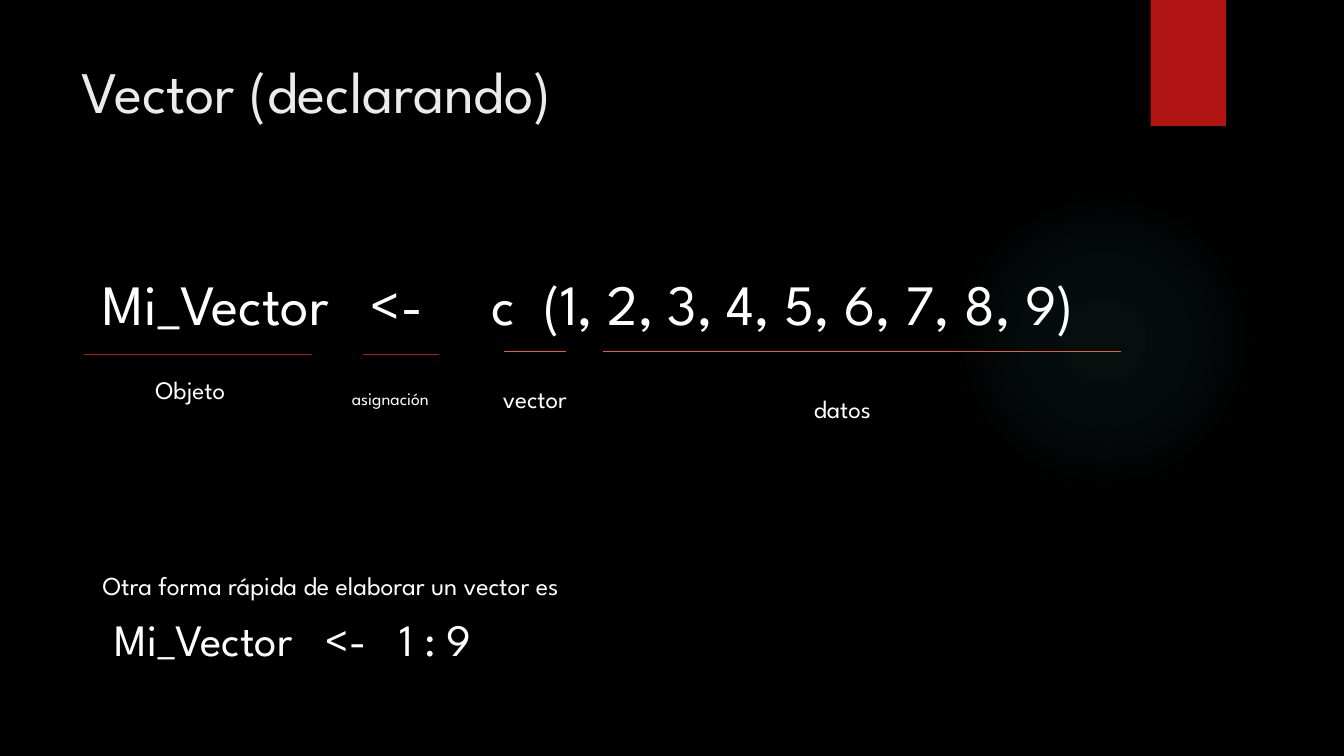
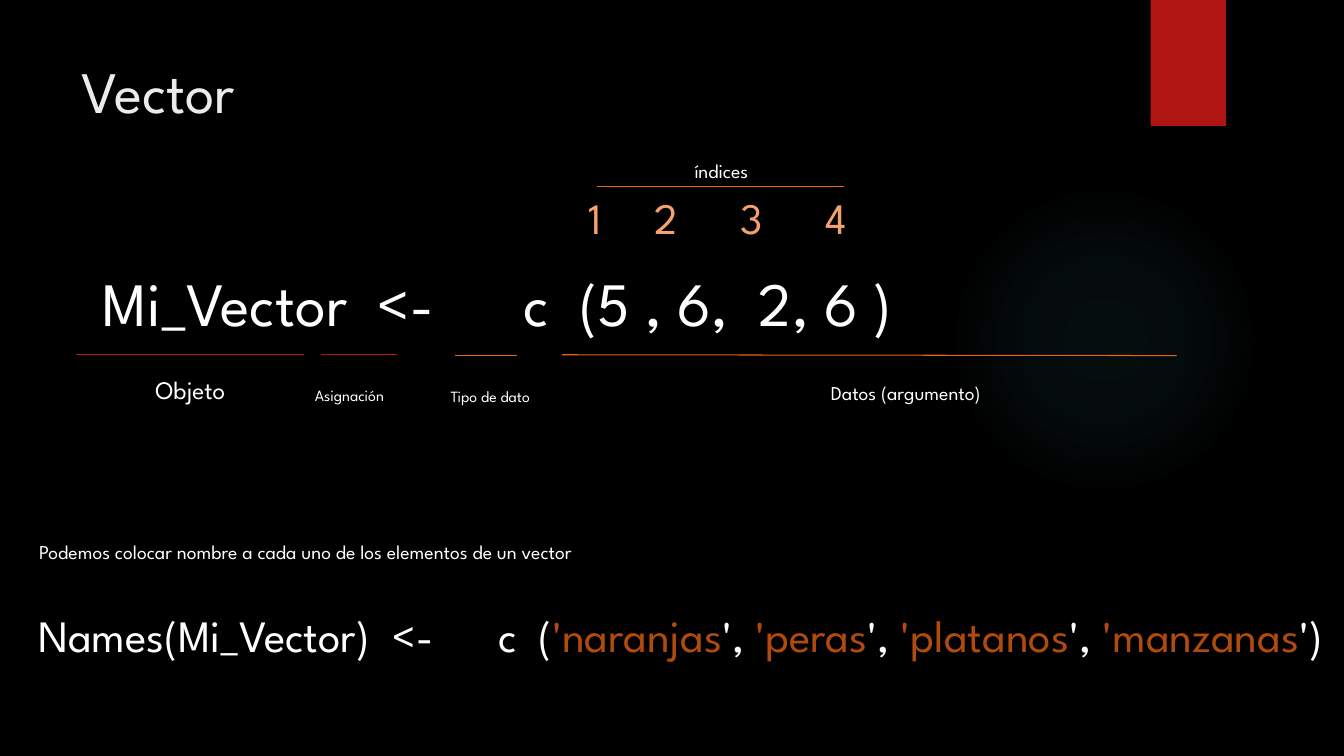
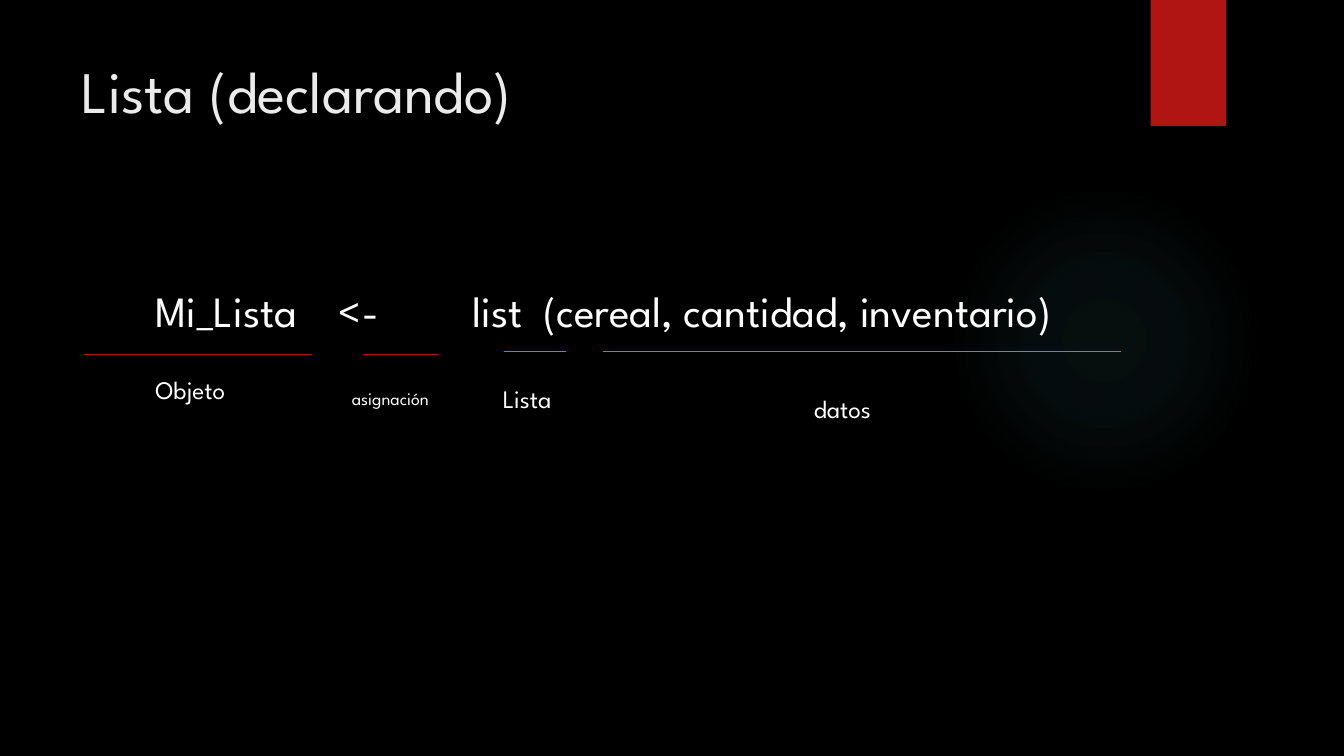
from lxml import etree
from pptx import Presentation
from pptx.dml.color import RGBColor
from pptx.enum.shapes import MSO_CONNECTOR, MSO_SHAPE
from pptx.enum.text import MSO_ANCHOR, MSO_AUTO_SIZE, PP_ALIGN
from pptx.oxml import parse_xml
from pptx.oxml.ns import nsdecls, qn
from pptx.util import Pt

RECTANGLE, ELLIPSE = MSO_SHAPE.RECTANGLE, MSO_SHAPE.OVAL
STRAIGHT = MSO_CONNECTOR.STRAIGHT
TOP, LEFT, NO_FIT = MSO_ANCHOR.TOP, PP_ALIGN.LEFT, MSO_AUTO_SIZE.NONE

FONT = "League Spartan"
SPACE_WIDTH = 0.24  # of the text size
BLACK, WHITE, TITLE_GREY = "000000", "FFFFFF", "EBEBEB"
RED, ORANGE, PEACH, RUST = "B01513", "EA6312", "F4A16F", "B04A0D"
GLOW = "50B9C1"


def color(hex_text):
    return RGBColor.from_string(hex_text)


def write_line(box, left, baseline, width, size, spans):
    """Place one line of (text, colour) spans; |n| in a text is a gap n spaces wide."""
    box.left, box.top = Pt(left), Pt(baseline - size - 3)
    box.width, box.height = Pt(width), Pt(size * 1.2 + 7.2)
    frame = box.text_frame
    frame.word_wrap, frame.auto_size = True, NO_FIT
    frame.vertical_anchor, frame.margin_right = TOP, 0
    para = frame.paragraphs[0]
    para.alignment, para.space_before = LEFT, Pt(0)
    properties = para._p.get_or_add_pPr()
    properties.set("marL", "0")
    properties.set("indent", "0")
    etree.SubElement(properties, qn("a:buNone"))
    for text, ink in spans:
        for index, part in enumerate(text.split("|")):
            is_gap = index % 2 == 1
            span = para.add_run()
            span.text = " " if is_gap else part
            span.font.name, span.font.size = FONT, Pt(size)
            span.font.color.rgb = color(ink)
            if is_gap:
                extra = (int(part) - 1) * SPACE_WIDTH * size
                span._r.get_or_add_rPr().set("spc", str(round(extra * 100)))


# Lines: colour, start x, end x, start y, end y
declaration_lines = [
    (RED, 60.2, 222.8, 253.4, 253.4),
    (ORANGE, 431, 801, 251, 251),
    (RED, 259.2, 313.5, 253.4, 253.4),
    (ORANGE, 359.7, 404, 251, 251),
]
vector_lines = [
    (RED, 54.5, 217.4, 253.4, 253.4),
    (ORANGE, 401.6, 840.4, 253.4, 254),
    (RED, 229.5, 283.7, 253.4, 253.4),
    (ORANGE, 325.2, 369.4, 254, 254),
    (ORANGE, 426.2, 603.2, 133.2, 133.2),
]

# Texts: left, baseline, width, size, spans
object_label = (103.9, 285, 84.2, 18, [("Objeto", WHITE)])
declaration_labels = [
    object_label,
    (244.3, 289, 84.2, 12.6, [("asignación", WHITE)]),
    (574.2, 298.5, 84.2, 18, [("datos", WHITE)]),
]
names_spans = [("Names(Mi_Vector)|2|<-|6|c|2|(", WHITE)]
for name, closing in [("naranjas", "', "), ("peras", "', "),
                      ("platanos", "', "), ("manzanas", "')")]:
    names_spans += [("'" + name, RUST), (closing, WHITE)]

slides = [
    {
        "title": "Vector (declarando)",
        "code": (66.2, 231.8, 828, 40.7,
                 [("Mi_Vector|3|<-|5|c|2|(1, 2, 3, 4, 5, 6, 7, 8, 9)", WHITE)]),
        "lines": declaration_lines,
        "texts": declaration_labels + [
            (352.1, 291.5, 84.2, 18, [("vector", WHITE)]),
            (66.2, 424.8, 537, 18.5,
             [("Otra forma rápida de elaborar un vector es", WHITE)]),
            (74.9, 468.6, 277, 32, [("Mi_Vector|3|<-|3|1 : 9", WHITE)]),
        ],
    },
    {
        "title": "Vector",
        "code": (66.2, 232.6, 828, 44,
                 [("Mi_Vector|2|<-|6|c|2|(5 , 6,|2|2, 6 )", WHITE)]),
        "lines": vector_lines,
        "texts": [
            object_label,
            (217.8, 286.1, 84.2, 11.2, [("Asignación", WHITE)]),
            (314.8, 286.8, 84.2, 11.2, [("Tipo de dato", WHITE)]),
            (413.5, 166.8, 540, 31, [("1|5|2|6|3|6|4", PEACH)]),
            (586.4, 285.3, 194.4, 14, [("Datos (argumento)", WHITE)]),
            (489.2, 126.8, 194.4, 14, [("índices", WHITE)]),
            (20.2, 465.4, 939.8, 32, names_spans),
            (20.9, 398.8, 537, 14,
             [("Podemos colocar nombre a cada uno de los elementos de un vector",
               WHITE)]),
        ],
    },
    {
        "title": "Lista (declarando)",
        "code": (103.7, 233.2, 828, 30.8,
                 [("Mi_Lista|4|<-|9|list|2|(cereal, cantidad, inventario)", WHITE)]),
        "lines": declaration_lines,
        "texts": declaration_labels + [
            (352.1, 291.5, 84.2, 18, [("Lista", WHITE)]),
        ],
    },
]

deck = Presentation()
deck.slide_width, deck.slide_height = Pt(960), Pt(540)
master = deck.slide_master
master.background.fill.solid()
master.background.fill.fore_color.rgb = color(BLACK)
layout = deck.slide_layouts[1]

for content in slides:
    page = deck.slides.add_slide(layout)
    title, body = page.placeholders
    write_line(title, 51.1, 80.6, 740.9, 42, [(content["title"], TITLE_GREY)])
    write_line(body, *content["code"])
    for ink, start_x, end_x, start_y, end_y in content["lines"]:
        line = page.shapes.add_connector(
            STRAIGHT, Pt(start_x), Pt(start_y), Pt(end_x), Pt(end_y))
        line.line.color.rgb = color(ink)
        line.line.width = Pt(0.75)
        etree.SubElement(line.element.spPr, qn("a:effectLst"))
    for text in content["texts"]:
        write_line(page.shapes.add_textbox(0, 0, 0, 0), *text)

# Shared decoration: drawn once, then moved behind everything on the master
glow = page.shapes.add_shape(ELLIPSE, Pt(677.5), Pt(131.8), Pt(221.8), Pt(221.8))
band = page.shapes.add_shape(RECTANGLE, Pt(821.9), 0, Pt(54), Pt(90))
band.fill.solid()
band.fill.fore_color.rgb = color(RED)
glow.fill.background()
stops = "".join(
    f'<a:gs pos="{position}000"><a:srgbClr val="{GLOW}">'
    f'<a:alpha val="{opacity}000"/></a:srgbClr></a:gs>'
    for position, opacity in [(0, 7), (36, 6), (69, 0)])
gradient = parse_xml(
    f'<a:gradFill {nsdecls("a")}><a:gsLst>{stops}</a:gsLst><a:path path="circle">'
    '<a:fillToRect l="50000" t="50000" r="50000" b="50000"/></a:path></a:gradFill>')
glow_properties = glow.element.spPr
glow_properties.replace(glow_properties.find(qn("a:noFill")), gradient)
for position, shape in enumerate([glow, band], start=2):
    shape.line.fill.background()
    shape.shadow.inherit = False
    master.shapes.element.insert(position, shape.element)

deck.save("out.pptx")
